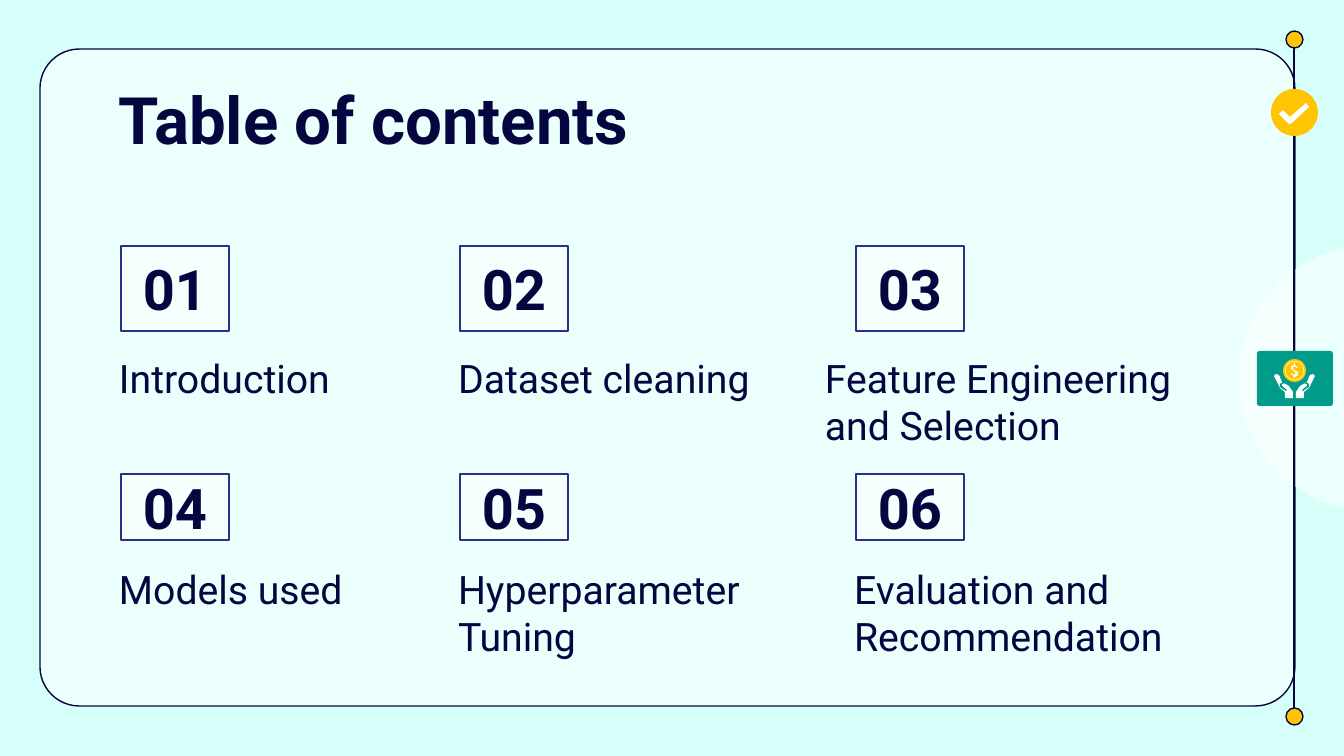
import pptx
import pptx.util
import pptx.dml.color
import pptx.enum.shapes
import pptx.enum.text
import pptx.oxml
from dataclasses import dataclass


@dataclass(frozen=True)
class Theme:
    back: str = "D6FFF9"
    ink: str = "05063F"
    edge: str = "2E2E88"
    white: str = "FFFFFF"
    gold: str = "FFC402"
    green: str = "009B89"
    font: str = "Roboto"
    head: int = 35
    number: int = 30
    body: int = 21
    rule: float = 0.75
    hair: float = 0.25
    veil: int = 53


theme = Theme()
PX = 6804
RGB = pptx.dml.color.RGBColor.from_string
KIND = pptx.enum.shapes.MSO_SHAPE
ALIGN = pptx.enum.text.PP_ALIGN
ANCHOR = pptx.enum.text.MSO_ANCHOR
DML = 'xmlns:a="http://schemas.openxmlformats.org/drawingml/2006/main"'


def paint(shape, fill=None, line=None, width=theme.rule, alpha=None):
    shape.shadow.inherit = False
    if fill:
        shape.fill.solid()
        shape.fill.fore_color.rgb = RGB(fill)
    else:
        shape.fill.background()
    if alpha:
        tint = shape.element.spPr.find(".//{*}srgbClr")
        tint.append(pptx.oxml.parse_xml(f'<a:alpha {DML} val="{alpha * 1000}"/>'))
    if line:
        shape.line.color.rgb = RGB(line)
        shape.line.width = pptx.util.Pt(width)
    else:
        shape.line.fill.background()
    return shape


def write(shape, text, size=theme.body, bold=False, align=ALIGN.LEFT, anchor=ANCHOR.TOP):
    frame = shape.text_frame
    frame.word_wrap = True
    frame.auto_size = pptx.enum.text.MSO_AUTO_SIZE.NONE
    frame.vertical_anchor = anchor
    frame.margin_left = frame.margin_right = 13 * PX
    frame.margin_top = frame.margin_bottom = 13 * PX
    frame.text = text
    para = frame.paragraphs[0]
    para.alignment = align
    font = para.runs[0].font
    font.name = theme.font
    font.size = pptx.util.Pt(size)
    font.bold = bold
    font.color.rgb = RGB(theme.ink)


deck = pptx.Presentation()
deck.slide_width = 1344 * PX
deck.slide_height = 756 * PX
slide = deck.slides.add_slide(deck.slide_layouts[5])
slide.background.fill.solid()
slide.background.fill.fore_color.rgb = RGB(theme.back)
shapes = slide.shapes

panel = shapes.add_shape(KIND.ROUNDED_RECTANGLE, 40 * PX, 49 * PX, 1255 * PX, 657 * PX)
panel.adjustments[0] = 0.06
paint(panel, theme.white, theme.ink, alpha=theme.veil)

halo = shapes.add_shape(KIND.OVAL, 1239 * PX, 245 * PX, 266 * PX, 266 * PX)
paint(halo, theme.white, alpha=theme.veil)

for top in (31, 708):
    dot = shapes.add_shape(KIND.OVAL, 1286 * PX, top * PX, 17 * PX, 17 * PX)
    paint(dot, theme.gold, theme.ink)

rail = shapes.add_connector(
    pptx.enum.shapes.MSO_CONNECTOR.STRAIGHT, 1294 * PX, 48 * PX, 1294 * PX, 708 * PX
)
rail.line.color.rgb = RGB(theme.ink)
rail.line.width = pptx.util.Pt(theme.rule)
rail.element.spPr.append(pptx.oxml.parse_xml(f"<a:effectLst {DML}/>"))

badge = shapes.add_shape(KIND.OVAL, 1271 * PX, 89 * PX, 47 * PX, 47 * PX)
paint(badge, theme.gold)

card = shapes.add_shape(KIND.ROUNDED_RECTANGLE, 1257 * PX, 351 * PX, 76 * PX, 55 * PX)
card.adjustments[0] = 0.05
paint(card, theme.green)

coin = shapes.add_shape(KIND.OVAL, 1283 * PX, 359 * PX, 23 * PX, 23 * PX)
paint(coin, theme.gold)
ring = shapes.add_shape(KIND.OVAL, 1285 * PX, 361 * PX, 19 * PX, 19 * PX)
paint(ring, line=theme.white, width=theme.hair)

tick = [(1289, 124), (1279, 114), (1283, 110), (1290, 117), (1306, 103), (1309, 107), (1292, 123)]
palm = [(1285, 392), (1280, 388), (1274, 376), (1276, 374), (1279, 375),
        (1282, 382), (1289, 386), (1293, 392), (1293, 398), (1285, 398)]
thumb = [(1286, 391), (1280, 387), (1280, 384), (1283, 382),
         (1286, 383), (1282, 384), (1282, 386), (1287, 390)]
dollar = [(1294, 363), (1295, 363), (1295, 365), (1298, 368), (1297, 368), (1294, 366),
          (1293, 368), (1294, 370), (1298, 372), (1298, 375), (1295, 377), (1295, 378),
          (1294, 378), (1294, 377), (1291, 373), (1292, 373), (1294, 375), (1296, 373),
          (1294, 371), (1291, 369), (1291, 366), (1294, 365)]
marks = [(tick, theme.white), (dollar, theme.white)]
for part, fill in ((palm, theme.white), (thumb, theme.green)):
    marks += [(part, fill), ([(2589 - x, y) for x, y in part], fill)]
for points, fill in marks:
    pen = shapes.build_freeform(*points[0], scale=PX)
    pen.add_line_segments(points[1:], close=True)
    paint(pen.convert_to_shape(), fill)

title = shapes.title
title.left, title.top, title.width, title.height = 106 * PX, 66 * PX, 1133 * PX, 85 * PX
write(title, "Table of contents", size=theme.head, bold=True)
title.element.getparent().append(title.element)

lefts = (121, 460, 856)
rows = [
    (246, 85, 341, [("Introduction", 106, 339), ("Dataset cleaning", 445, 339),
                    ("Feature Engineering and Selection", 812, 395)]),
    (474, 66, 552, [("Models used", 106, 339), ("Hyperparameter Tuning", 445, 339),
                    ("Evaluation and Recommendation", 841, 339)]),
]
count = 0
for top, height, below, items in rows:
    for left, (text, start, width) in zip(lefts, items):
        count += 1
        box = shapes.add_shape(KIND.RECTANGLE, left * PX, top * PX, 108 * PX, height * PX)
        paint(box, theme.white, theme.edge, alpha=theme.veil)
        write(box, f"{count:02d}", size=theme.number, bold=True,
              align=ALIGN.CENTER, anchor=ANCHOR.MIDDLE)
        label = shapes.add_textbox(start * PX, below * PX, width * PX, 58 * PX)
        write(label, text)

deck.save("out.pptx")
